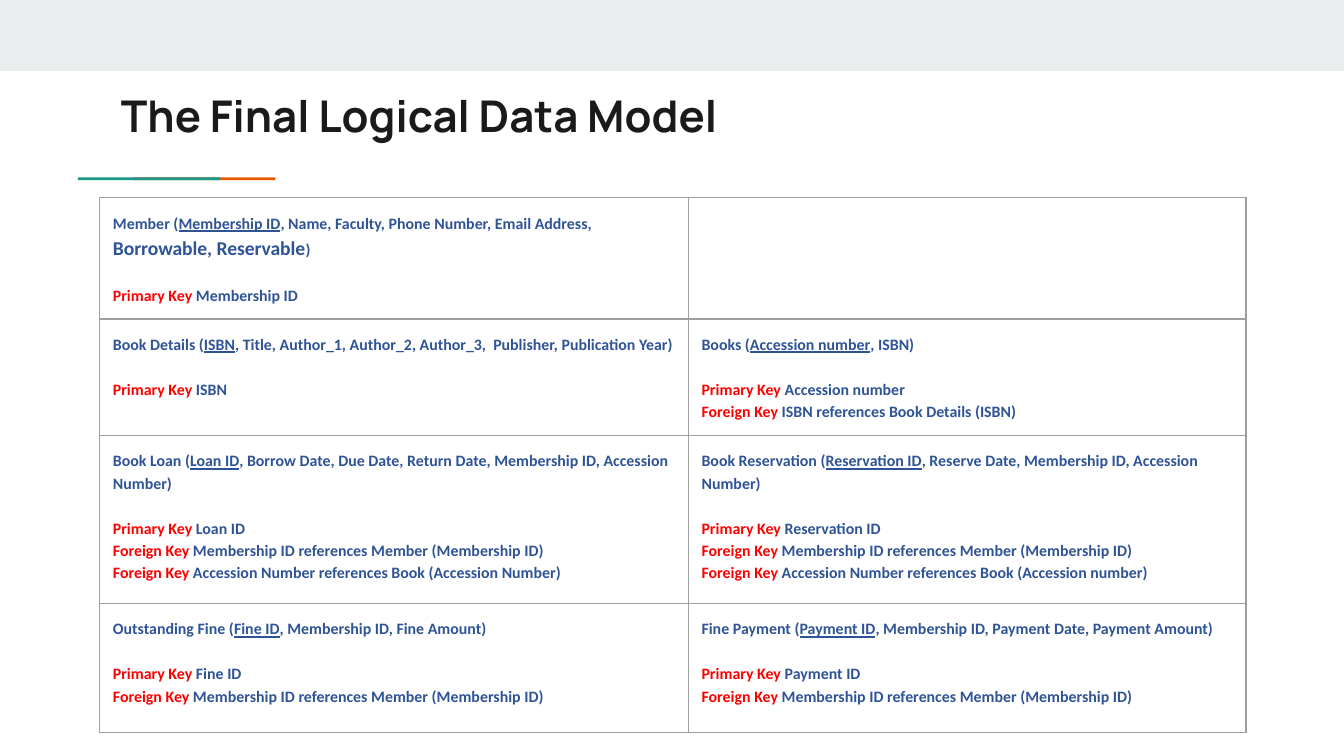
"""Build the slide that shows the final logical data model of a library."""
from lxml import etree
from pptx import Presentation
from pptx import util as u
from pptx.dml.color import RGBColor
from pptx.enum import shapes, text
from pptx.oxml.ns import qn

BLUE, RED, GREY = "2F5496", "FF0000", "9E9E9E"
COLUMNS = (4.38, 4.15)
ROWS = (0.9, 0.86, 1.25, 0.96)
MEMBER_REF = "Membership ID references Member (Membership ID)"

ENTITIES = (
    (("Member", "Membership ID", ", Name, Faculty, Phone Number, Email Address, ",
      "Borrowable, Reservable", ()),
     None),
    (("Book Details", "ISBN",
      ", Title, Author_1, Author_2, Author_3,  Publisher, Publication Year", "", ()),
     ("Books", "Accession number", ", ISBN", "",
      ("ISBN references Book Details (ISBN)",))),
    (("Book Loan", "Loan ID",
      ", Borrow Date, Due Date, Return Date, Membership ID, Accession Number", "",
      (MEMBER_REF, "Accession Number references Book (Accession Number)")),
     ("Book Reservation", "Reservation ID",
      ", Reserve Date, Membership ID, Accession Number", "",
      (MEMBER_REF, "Accession Number references Book (Accession number)"))),
    (("Outstanding Fine", "Fine ID", ", Membership ID, Fine Amount", "", (MEMBER_REF,)),
     ("Fine Payment", "Payment ID", ", Membership ID, Payment Date, Payment Amount", "",
      (MEMBER_REF,))),
)


def color(value):
    """Return the colour of a hex string."""
    return RGBColor.from_string(value)


def add_bar(page, left, top, width, height, fill):
    """Draw a plain filled rectangle."""
    bar = page.shapes.add_shape(shapes.MSO_SHAPE.RECTANGLE, u.Inches(left),
                                u.Inches(top), u.Inches(width), u.Inches(height))
    bar.shadow.inherit = False
    bar.fill.solid()
    bar.fill.fore_color.rgb = color(fill)
    bar.line.fill.background()


def set_title(page, words):
    """Place and format the title."""
    box = page.shapes.title
    box.left, box.top = u.Inches(0.8), u.Inches(0.56)
    box.width, box.height = u.Inches(8.41), u.Inches(0.59)
    frame = box.text_frame
    frame.text = words
    frame.auto_size = text.MSO_AUTO_SIZE.NONE
    frame.vertical_anchor = text.MSO_ANCHOR.MIDDLE
    frame.margin_left = frame.margin_right = u.Inches(0.1)
    frame.margin_top = frame.margin_bottom = u.Inches(0.1)
    para = frame.paragraphs[0]
    para.alignment = text.PP_ALIGN.LEFT
    para.font.name, para.font.size, para.font.bold = "Manrope", u.Pt(23.4), True
    para.font.color.rgb = color("1A1A1A")


def style_cell(cell):
    """Give a cell its margins, borders and empty fill."""
    cell.margin_left = cell.margin_right = u.Inches(0.1)
    cell.margin_top = cell.margin_bottom = u.Inches(0.1)
    properties = cell._tc.get_or_add_tcPr()
    for side in ("a:lnL", "a:lnR", "a:lnT", "a:lnB"):
        line = etree.SubElement(properties, qn(side), w=str(u.Pt(0.75)))
        fill = etree.SubElement(line, qn("a:solidFill"))
        etree.SubElement(fill, qn("a:srgbClr"), val=GREY)
    cell.fill.background()


def format_line(para):
    """Set the font and spacing of a line in the table."""
    para.line_spacing = 1.15
    para.font.name, para.font.size, para.font.bold = "Calibri", u.Pt(8.5), True
    para.font.color.rgb = color(BLUE)


def add_span(para, words):
    """Append words to a line and return their run."""
    span = para.add_run()
    span.text = words
    return span


def add_keys(frame, label, keys):
    """Add a paragraph with one red-labelled line per key and return it."""
    para = frame.add_paragraph()
    format_line(para)
    for index, key in enumerate(keys):
        if index:
            para.add_line_break()
        add_span(para, label).font.color.rgb = color(RED)
        add_span(para, f" {key}")
    return para


def write_entity(frame, name, key, attributes, large, references):
    """Write an entity, its attributes and its keys."""
    para = frame.paragraphs[0]
    format_line(para)
    add_span(para, f"{name} (")
    add_span(para, key).font.underline = True
    add_span(para, attributes)
    if large:
        add_span(para, large).font.size = u.Pt(10.5)
    add_span(para, ")")
    add_keys(frame, "Primary Key", (key,)).space_before = u.Pt(12)
    if references:
        add_keys(frame, "Foreign Key", references)


def add_model(page):
    """Add the table of entities."""
    table = page.shapes.add_table(len(ROWS), len(COLUMNS), u.Inches(0.74), u.Inches(1.47),
                                  u.Inches(sum(COLUMNS)), u.Inches(sum(ROWS))).table
    table.first_row = table.horz_banding = False
    for column, width in zip(table.columns, COLUMNS):
        column.width = u.Inches(width)
    for row, height, entities in zip(table.rows, ROWS, ENTITIES):
        row.height = u.Inches(height)
        for cell, entity in zip(row.cells, entities):
            style_cell(cell)
            if entity:
                write_entity(cell.text_frame, *entity)


def main():
    """Build and save the deck."""
    deck = Presentation()
    deck.slide_width, deck.slide_height = u.Inches(10), u.Inches(10 * 9 / 16)
    page = deck.slides.add_slide(deck.slide_layouts[5])
    add_bar(page, 0, 0, 10, 0.53, "E9EDEE")
    add_bar(page, 0.99, 1.32, 1.06, 0.02, "EB5600")
    add_bar(page, 0.58, 1.32, 1.06, 0.02, "1A9988")
    set_title(page, "The Final Logical Data Model")
    add_model(page)
    deck.save("out.pptx")


if __name__ == "__main__":
    main()
